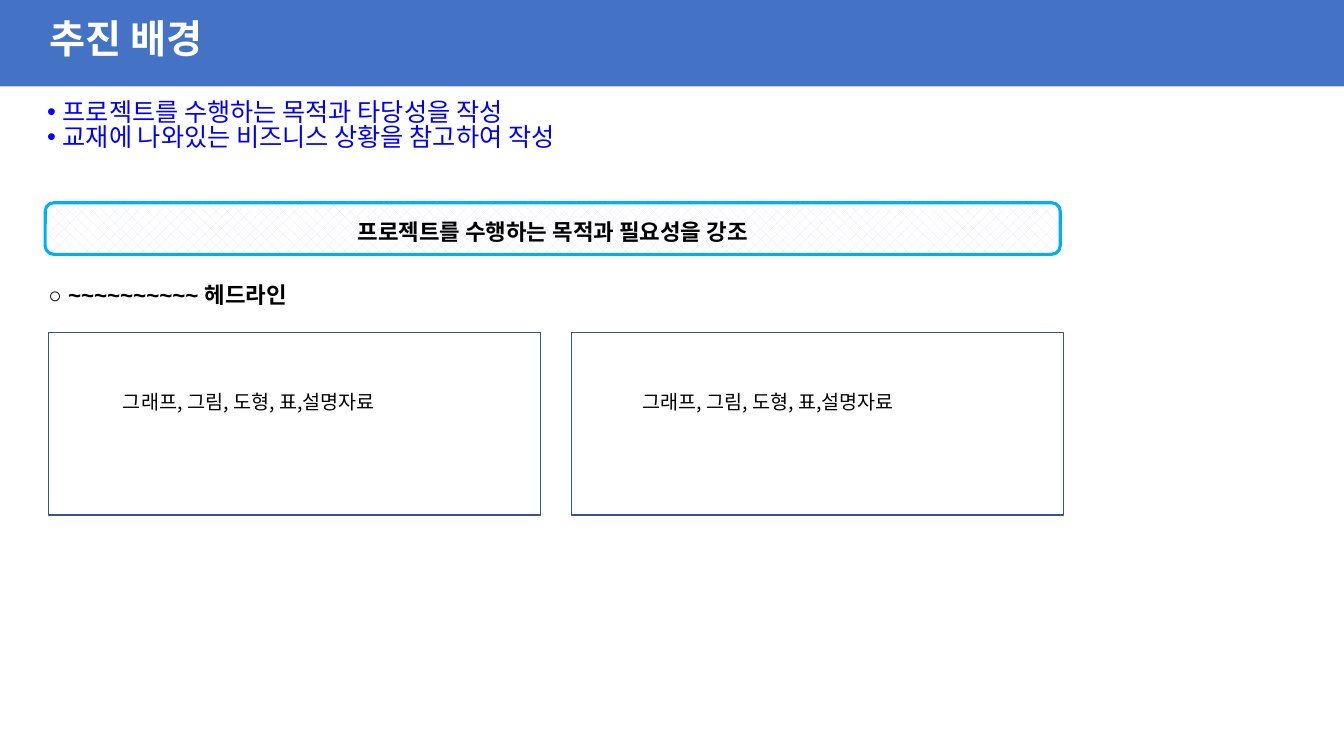
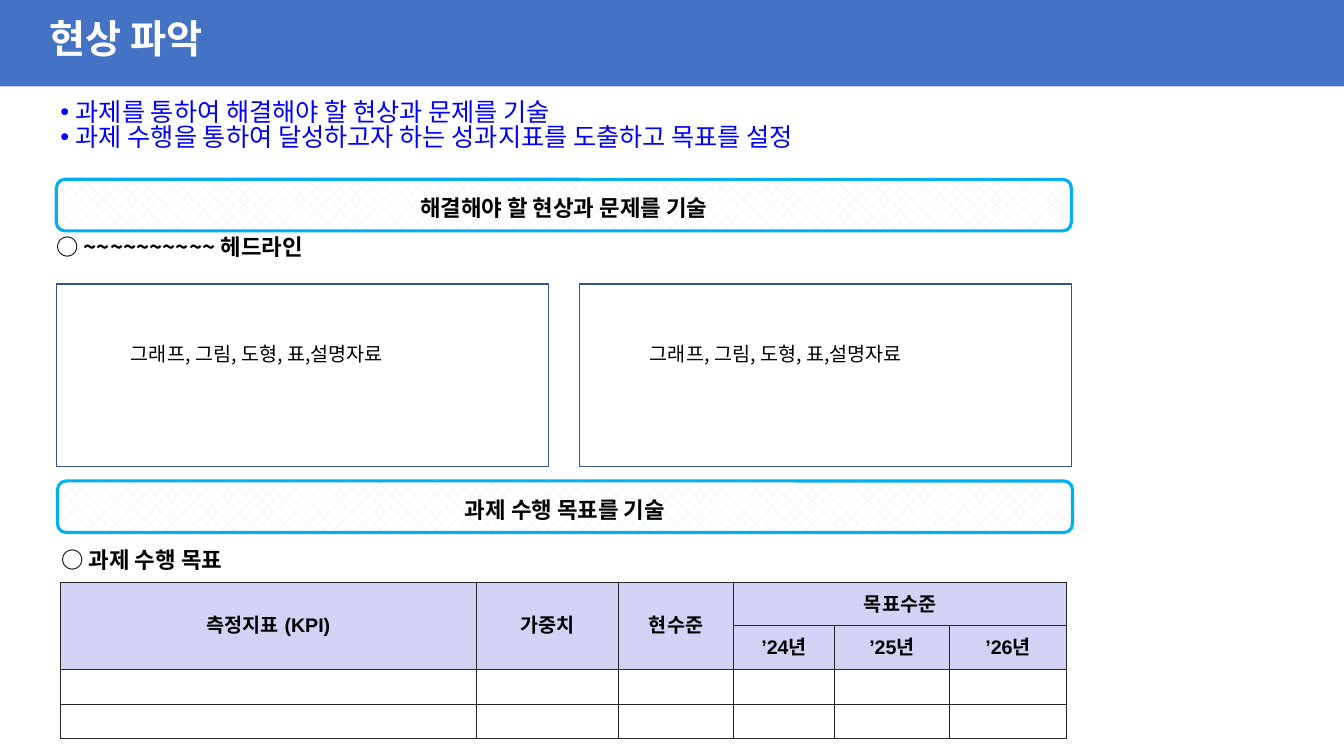
from lxml import etree
from pptx import Presentation
from pptx.dml.color import RGBColor
from pptx.enum.dml import MSO_PATTERN
from pptx.enum.shapes import MSO_SHAPE
from pptx.enum.text import MSO_ANCHOR, MSO_AUTO_SIZE, PP_ALIGN
from pptx.oxml.ns import qn
from pptx.util import Cm, Pt

RECTANGLE, ROUNDED = MSO_SHAPE.RECTANGLE, MSO_SHAPE.ROUNDED_RECTANGLE
LEFT, CENTER = PP_ALIGN.LEFT, PP_ALIGN.CENTER
MIDDLE = MSO_ANCHOR.MIDDLE

KOREAN, LATIN = "Noto Sans CJK KR", "Arial"
WHITE, BLACK = "FFFFFF", "000000"
BAND, GUIDE = "4472C4", "0000FF"
FRAME_LINE, BANNER_LINE, BANNER_DOTS = "325491", "00B0F0", "DEEBF7"
TABLE_HEAD, TABLE_LINE = "D2D2F4", "262626"

SLIDE_WIDTH = 33.87
BAND_HEIGHT = 2.18
FRAME_PITCH, LABEL_PITCH = 13.18, 13.08
LABEL_TEXT = "그래프, 그림, 도형, 표,설명자료"
HEADLINE = "○ ~~~~~~~~~~ 헤드라인"

# Banners and headlines are (left, top, text); frames are (left, top).
PAGES = [
    {
        "title": "추진 배경",
        "guide_left": 0.94,
        "guides": ["프로젝트를 수행하는 목적과 타당성을 작성",
                   "교재에 나와있는 비즈니스 상황을 참고하여 작성"],
        "banners": [(1.14, 5.11, "프로젝트를 수행하는 목적과 필요성을 강조")],
        "headline_font": LATIN,
        "headlines": [(1.22, 7.16, HEADLINE)],
        "frames": (1.22, 8.38),
    },
    {
        "title": "현상 파악",
        "guide_left": 1.27,
        "guides": ["과제를 통하여 해결해야 할 현상과 문제를 기술",
                   "과제 수행을 통하여 달성하고자 하는 성과지표를 도출하고 목표를 설정"],
        "banners": [(1.42, 4.52, "해결해야 할 현상과 문제를 기술"),
                    (1.45, 12.12, "과제 수행 목표를 기술")],
        "headline_font": KOREAN,
        "headlines": [(1.42, 5.94, HEADLINE), (1.55, 13.84, "○ 과제 수행 목표")],
        "frames": (1.42, 7.16),
    },
]

COLUMN_WIDTHS = [10.49, 3.58, 2.9, 2.54, 2.9, 2.95]
ROW_HEIGHTS = [1.09, 1.09, 0.88, 0.88]
TABLE_ROWS = [
    ["측정지표 (KPI)", "가중치", "현수준", "목표수준", "", ""],
    ["", "", "", "’24년", "’25년", "’26년"],
    [""] * 6,
    [""] * 6,
]
MERGES = [((0, 0), (1, 0)), ((0, 1), (1, 1)), ((0, 2), (1, 2)), ((0, 3), (0, 5))]


def color(value):
    return RGBColor.from_string(value)


def write(para, text, size, ink=BLACK, bold=False, font=KOREAN, align=LEFT, spacing=0.9):
    """Add one run, naming the font for both Latin and Korean letters."""
    para.alignment = align
    para.line_spacing = spacing
    span = para.add_run()
    span.text = text
    span.font.size = Pt(size)
    span.font.bold = bold
    span.font.name = font
    span.font.color.rgb = color(ink)
    latin = span.font._element.find(qn("a:latin"))
    east_asian = etree.Element(qn("a:ea"), typeface=font)
    latin.addnext(east_asian)


deck = Presentation()
deck.slide_width, deck.slide_height = Cm(SLIDE_WIDTH), Cm(19.05)
layout = deck.slide_layouts[5]

for number, content in enumerate(PAGES):
    page = deck.slides.add_slide(layout)
    shapes = page.shapes

    # The band is drawn once and moved to the layout, behind every title.
    if number == 0:
        band = shapes.add_shape(RECTANGLE, 0, 0, Cm(SLIDE_WIDTH), Cm(BAND_HEIGHT))
        band.shadow.inherit = False
        band.fill.solid()
        band.fill.fore_color.rgb = color(BAND)
        band.line.fill.background()
        layout.shapes.element.insert(2, band.element)

    title = shapes.title
    title.left, title.top, title.width, title.height = Cm(1), Cm(0.3), Cm(16.13), Cm(1.45)
    title.text_frame.auto_size = MSO_AUTO_SIZE.NONE
    title.text_frame.vertical_anchor = MIDDLE
    write(title.text_frame.paragraphs[0], content["title"], 28, WHITE, bold=True)

    guide = shapes.add_textbox(Cm(content["guide_left"]), Cm(2.44), Cm(24.99), Cm(1.8))
    guide.text_frame.word_wrap = True
    for index, text in enumerate(content["guides"]):
        para = guide.text_frame.add_paragraph() if index else guide.text_frame.paragraphs[0]
        write(para, text, 18, GUIDE, spacing=0.83)
        properties = para._p.get_or_add_pPr()
        properties.set("marL", str(Cm(0.39)))
        properties.set("indent", str(-Cm(0.39)))
        etree.SubElement(properties, qn("a:buFont"), typeface=LATIN)
        etree.SubElement(properties, qn("a:buChar"), char="•")

    for left, top, text in content["headlines"]:
        headline = shapes.add_textbox(Cm(left), Cm(top), Cm(25.91), Cm(1.98))
        frame = headline.text_frame
        frame.word_wrap = True
        frame.margin_left = frame.margin_right = frame.margin_top = frame.margin_bottom = 0
        write(frame.paragraphs[0], text, 16, bold=True, font=content["headline_font"])

    left, top = content["frames"]
    for index in range(2):
        outline = shapes.add_shape(
            RECTANGLE, Cm(left + index * FRAME_PITCH), Cm(top), Cm(12.4), Cm(4.6))
        outline.shadow.inherit = False
        outline.fill.background()
        outline.line.color.rgb = color(FRAME_LINE)
        outline.line.width = Pt(1)
        label = shapes.add_textbox(
            Cm(left + 1.63 + index * LABEL_PITCH), Cm(top + 1.4), Cm(10.21), Cm(2.06))
        label.text_frame.word_wrap = True
        write(label.text_frame.paragraphs[0], LABEL_TEXT, 14)

    for left, top, text in content["banners"]:
        banner = shapes.add_shape(ROUNDED, Cm(left), Cm(top), Cm(25.58), Cm(1.3))
        banner.shadow.inherit = False
        banner.fill.patterned()
        banner.fill.pattern = MSO_PATTERN.PERCENT_25
        banner.fill.fore_color.rgb = color(BANNER_DOTS)
        banner.fill.back_color.rgb = color(WHITE)
        banner.line.color.rgb = color(BANNER_LINE)
        banner.line.width = Pt(2.25)
        banner.text_frame.vertical_anchor = MIDDLE
        write(banner.text_frame.paragraphs[0], text, 16, bold=True, align=CENTER, spacing=1.2)

# The target table stands on the last page.
table = shapes.add_table(
    len(ROW_HEIGHTS), len(COLUMN_WIDTHS), Cm(1.52), Cm(14.68),
    Cm(sum(COLUMN_WIDTHS)), Cm(sum(ROW_HEIGHTS))).table
table.first_row = table.horz_banding = False
for column, width in zip(table.columns, COLUMN_WIDTHS):
    column.width = Cm(width)
for row, height in zip(table.rows, ROW_HEIGHTS):
    row.height = Cm(height)
for first, last in MERGES:
    table.cell(*first).merge(table.cell(*last))

for row_index, texts in enumerate(TABLE_ROWS):
    for column_index, text in enumerate(texts):
        cell = table.cell(row_index, column_index)
        cell.margin_left = cell.margin_right = cell.margin_top = cell.margin_bottom = Cm(0.05)
        cell.vertical_anchor = MIDDLE
        properties = cell._tc.get_or_add_tcPr()
        for side in ("a:lnL", "a:lnR", "a:lnT", "a:lnB"):
            border = etree.SubElement(properties, qn(side), w=str(Pt(0.75)))
            paint = etree.SubElement(border, qn("a:solidFill"))
            etree.SubElement(paint, qn("a:srgbClr"), val=TABLE_LINE)
        cell.fill.solid()
        cell.fill.fore_color.rgb = color(TABLE_HEAD if row_index < 2 else WHITE)
        if not cell.is_spanned:
            write(cell.text_frame.paragraphs[0], text, 14, bold=True, font=LATIN,
                  align=CENTER, spacing=1.0)

deck.save("out.pptx")
